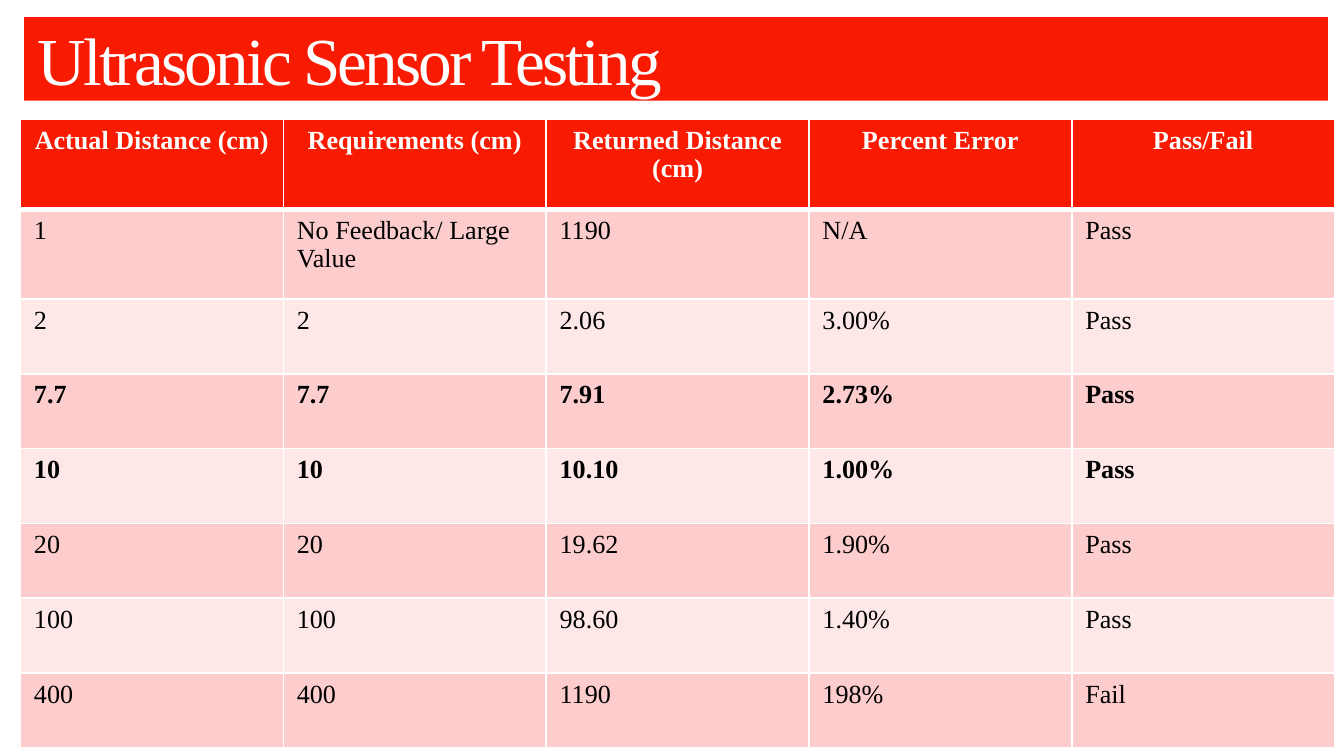
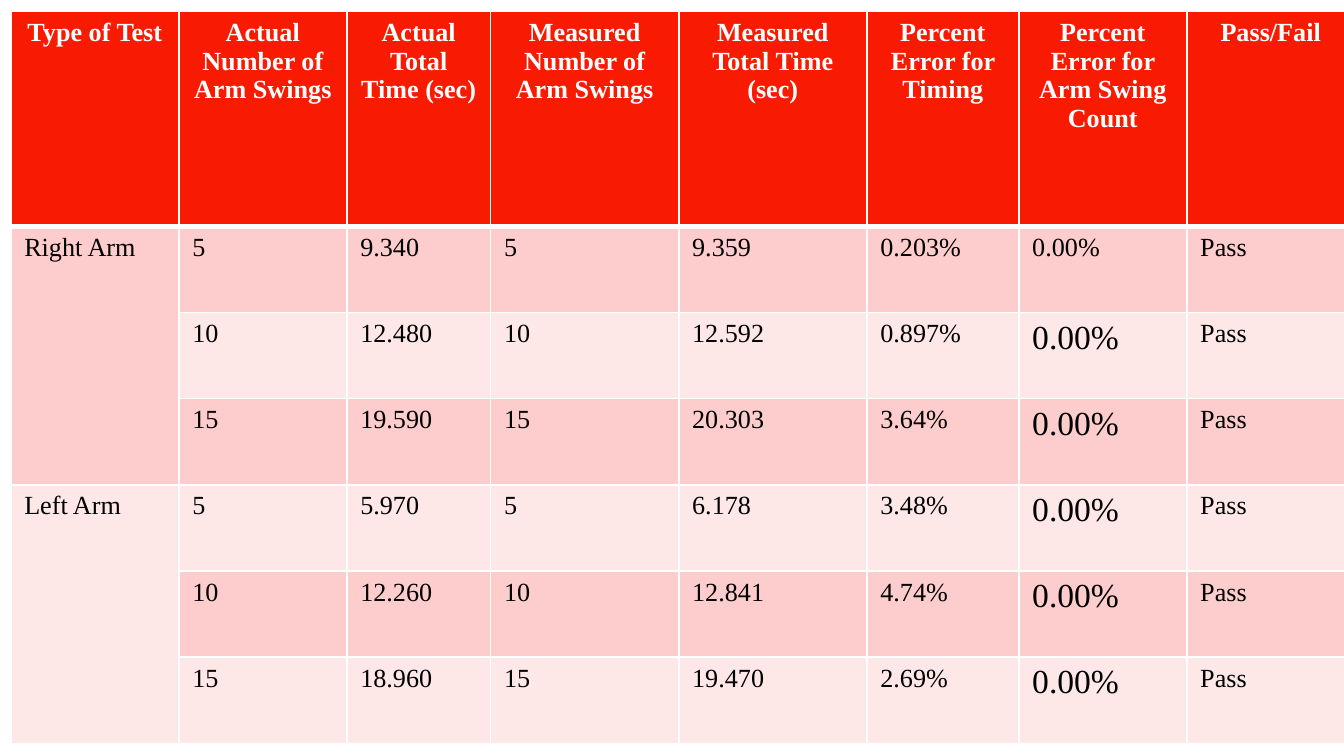
from lxml.etree import SubElement
from pptx import Presentation
from pptx.dml.color import RGBColor
from pptx.enum.shapes import MSO_SHAPE
from pptx.enum.text import MSO_ANCHOR, PP_ALIGN
from pptx.oxml.ns import qn
from pptx.util import Pt

COLORS = {
    "red": "F81B02",
    "band_dark": "FCCDCC",
    "band_light": "FEE8E7",
    "white": "FFFFFF",
    "black": "000000",
}
FONT = "Times New Roman"
TEXT_SIZE = 14
LARGE_SIZE = 18
TITLE_SIZE = 36

SENSOR_HEADERS = ["Actual Distance (cm)", "Requirements (cm)",
                  "Returned Distance (cm)", "Percent Error", "Pass/Fail"]
SENSOR_ROWS = [
    ["1", "No Feedback/ Large Value", "1190", "N/A", "Pass"],
    ["2", "2", "2.06", "3.00%", "Pass"],
    ["7.7", "7.7", "7.91", "2.73%", "Pass"],
    ["10", "10", "10.10", "1.00%", "Pass"],
    ["20", "20", "19.62", "1.90%", "Pass"],
    ["100", "100", "98.60", "1.40%", "Pass"],
    ["400", "400", "1190", "198%", "Fail"],
]
SENSOR_BOLD_ROWS = (3, 4)

SWING_HEADERS = ["Type of Test", "Actual Number of Arm Swings",
                 "Actual Total Time (sec)", "Measured Number of Arm Swings",
                 "Measured Total Time (sec)", "Percent Error for Timing",
                 "Percent Error for Arm Swing Count", "Pass/Fail"]
SWING_ROWS = [
    ["Right Arm", "5", "9.340", "5", "9.359", "0.203%", "0.00%", "Pass"],
    ["", "10", "12.480", "10", "12.592", "0.897%", "0.00%", "Pass"],
    ["", "15", "19.590", "15", "20.303", "3.64%", "0.00%", "Pass"],
    ["Left Arm", "5", "5.970", "5", "6.178", "3.48%", "0.00%", "Pass"],
    ["", "10", "12.260", "10", "12.841", "4.74%", "0.00%", "Pass"],
    ["", "15", "18.960", "15", "19.470", "2.69%", "0.00%", "Pass"],
]
SWING_COLUMNS = [90, 90, 77, 100.8, 100.8, 81.4, 90, 90]
SWING_COUNT_COLUMN = 6
RUNS_PER_ARM = 3


def color(name):
    return RGBColor.from_string(COLORS[name])


def add_run(paragraph, text, size, color_name, bold=False):
    run = paragraph.add_run()
    run.text = text
    run.font.name = FONT
    run.font.size = Pt(size)
    run.font.bold = bold
    run.font.color.rgb = color(color_name)
    return run


def set_borders(cell, top, bottom):
    properties = cell._tc.get_or_add_tcPr()
    for side, width in (("L", 1), ("R", 1), ("T", top), ("B", bottom)):
        line = SubElement(properties, qn(f"a:ln{side}"), w=str(Pt(width)))
        fill = SubElement(line, qn("a:solidFill"))
        SubElement(fill, qn("a:srgbClr"), val=COLORS["white"])


def add_title_band(slide, text, left, top, width, height):
    band = slide.shapes.add_shape(MSO_SHAPE.RECTANGLE, Pt(left), Pt(top),
                                  Pt(width), Pt(height))
    band.shadow.inherit = False
    band.fill.solid()
    band.fill.fore_color.rgb = color("red")
    band.line.fill.background()
    frame = band.text_frame
    frame.word_wrap = True
    frame.vertical_anchor = MSO_ANCHOR.TOP
    frame.margin_left = frame.margin_right = Pt(7.2)
    frame.margin_top = frame.margin_bottom = Pt(7.2)
    paragraph = frame.paragraphs[0]
    paragraph.alignment = PP_ALIGN.LEFT
    paragraph.line_spacing = 0.85
    run = add_run(paragraph, text, TITLE_SIZE, "white")
    run.font._element.set("spc", "-150")


def add_banded_table(slide, left, top, column_widths, row_heights, headers,
                     rows, bold_rows=(), large_cells=()):
    table = slide.shapes.add_table(
        len(row_heights), len(column_widths), Pt(left), Pt(top),
        Pt(sum(column_widths)), Pt(sum(row_heights))).table
    for column, width in zip(table.columns, column_widths):
        column.width = Pt(width)
    for row, height in zip(table.rows, row_heights):
        row.height = Pt(height)

    for row_index, texts in enumerate([headers, *rows]):
        is_header = row_index == 0
        band = "band_dark" if row_index % 2 else "band_light"
        for column_index, text in enumerate(texts):
            cell = table.cell(row_index, column_index)
            set_borders(cell, top=3 if row_index == 1 else 1,
                        bottom=3 if is_header else 1)
            cell.fill.solid()
            cell.fill.fore_color.rgb = color("red" if is_header else band)
            if not text:
                continue
            paragraph = cell.text_frame.paragraphs[0]
            paragraph.alignment = PP_ALIGN.CENTER if is_header else PP_ALIGN.LEFT
            is_large = (row_index, column_index) in large_cells
            add_run(paragraph, text, LARGE_SIZE if is_large else TEXT_SIZE,
                    "white" if is_header else "black",
                    bold=is_header or row_index in bold_rows)
    return table


def build_sensor_slide(slide):
    # Table of distances
    add_banded_table(slide, 11, 63.8, [140.8] * 5, [48.2] * 2 + [40.1] * 6,
                     SENSOR_HEADERS, SENSOR_ROWS, bold_rows=SENSOR_BOLD_ROWS)
    # Title
    add_title_band(slide, "Ultrasonic Sensor Testing", 13, 9.2, 698.4, 44.7)


def build_swing_slide(slide):
    # Every swing count error after the first is set larger
    run_count = len(SWING_ROWS)
    large_cells = [(row, SWING_COUNT_COLUMN) for row in range(2, run_count + 1)]
    table = add_banded_table(slide, 5.8, 6, SWING_COLUMNS,
                             [115.2] + [46.2] * run_count,
                             SWING_HEADERS, SWING_ROWS, large_cells=large_cells)
    # One merged label for each arm
    for first in range(1, run_count + 1, RUNS_PER_ARM):
        table.cell(first, 0).merge(table.cell(first + RUNS_PER_ARM - 1, 0))


def main():
    presentation = Presentation()
    presentation.slide_width = Pt(720)
    presentation.slide_height = Pt(405)
    blank = presentation.slide_layouts[6]
    for build_slide in (build_sensor_slide, build_swing_slide):
        build_slide(presentation.slides.add_slide(blank))
    presentation.save("out.pptx")


if __name__ == "__main__":
    main()
